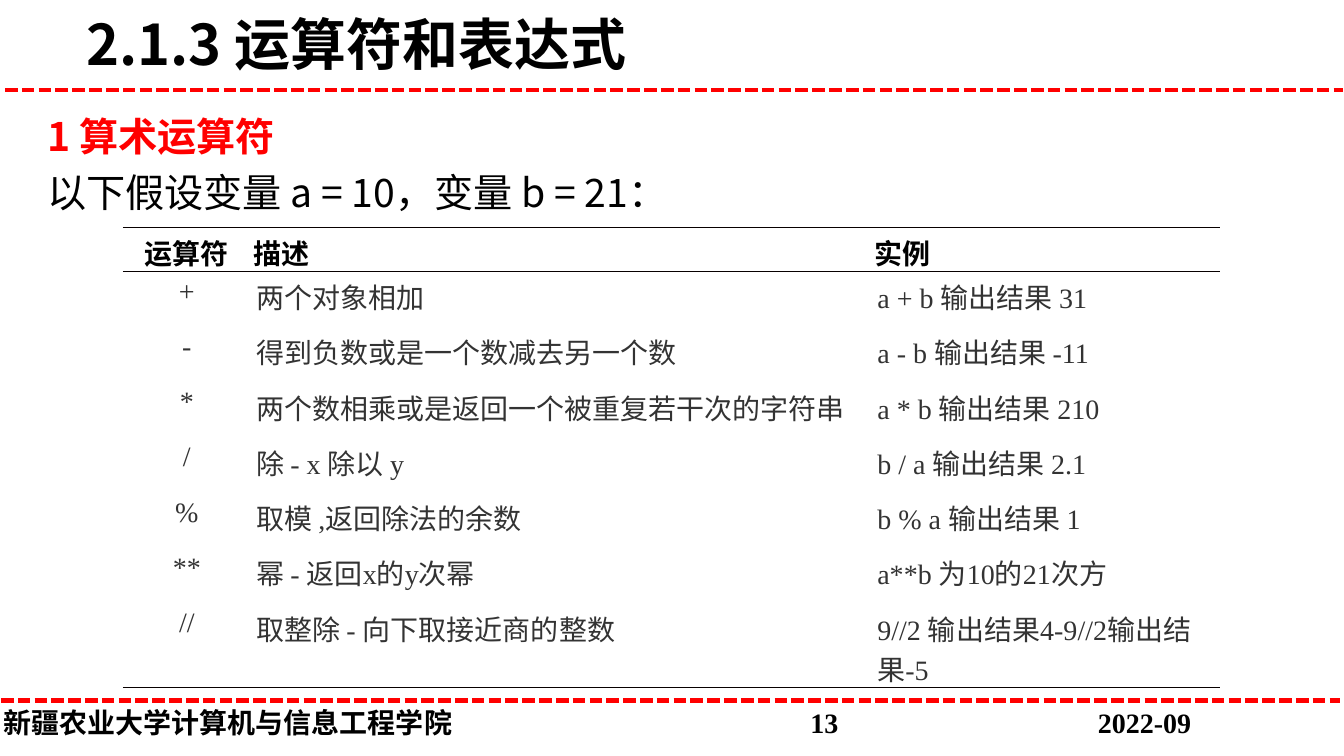
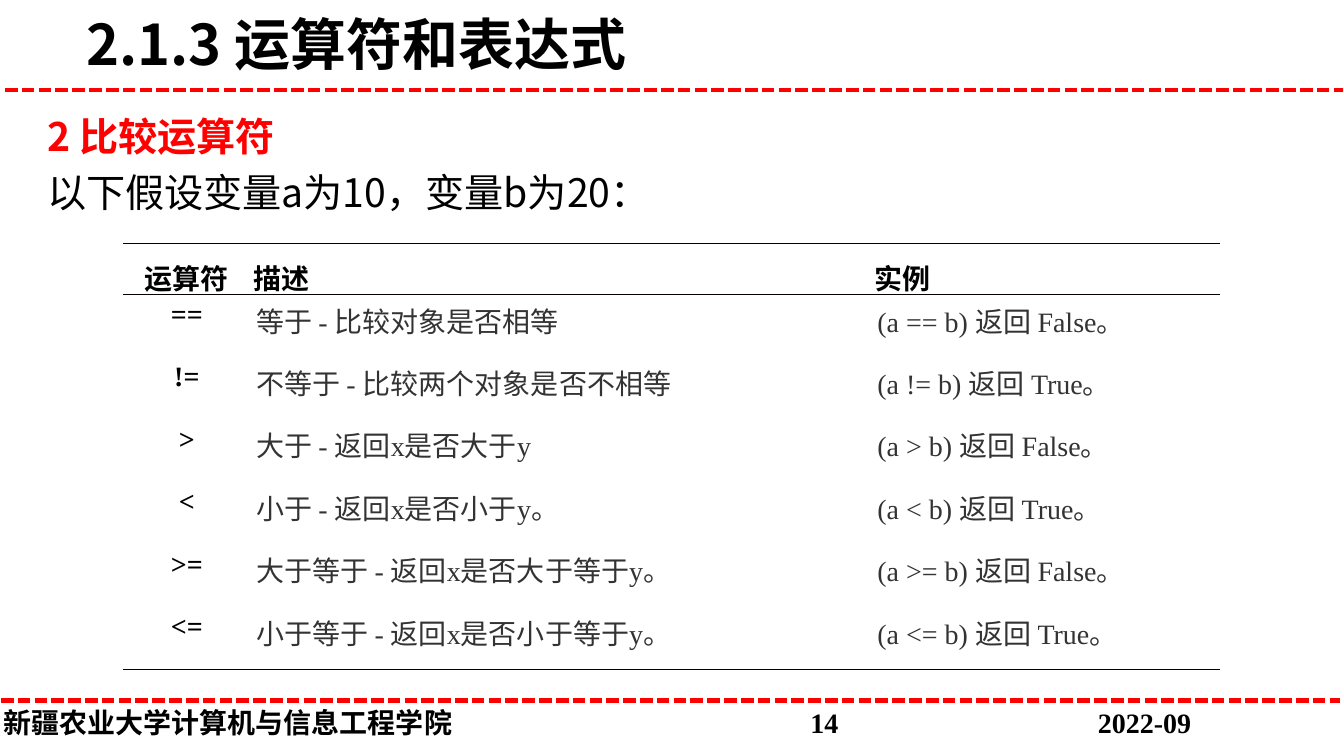
import dataclasses

import pptx
import pptx.dml.color
import pptx.enum.dml
import pptx.enum.shapes
import pptx.enum.text
import pptx.oxml.ns
import pptx.util
from lxml import etree

Pt = pptx.util.Pt
RGB = pptx.dml.color.RGBColor.from_string
qn = pptx.oxml.ns.qn
ALIGN = pptx.enum.text.PP_ALIGN
ANCHOR = pptx.enum.text.MSO_ANCHOR
AUTO_SIZE = pptx.enum.text.MSO_AUTO_SIZE


@dataclasses.dataclass(frozen=True)
class Theme:
    black: str = "000000"
    white: str = "FFFFFF"
    red: str = "FF0000"
    gray: str = "333333"
    rule: str = "080000"
    sans: str = "Noto Sans CJK SC"
    serif: str = "Times New Roman"
    title_size: int = 40
    heading_size: int = 28
    small_size: int = 20


THEME = Theme()
NO_STYLE = "{2D5ABB26-0587-4C30-8999-92F81FD0307C}"
COLUMNS = (91.5, 444, 248.5)
HEADER = ("运算符", "描述", "实例")


def add_text(p, text, size=THEME.small_size, font=THEME.serif, color=THEME.black,
             bold=False, align=ALIGN.LEFT, spacing=None):
    """Add a formatted run to a paragraph."""
    p.alignment = align
    if spacing:
        p.line_spacing = spacing
    r = p.add_run()
    r.text = text
    r.font.size = Pt(size)
    r.font.name = font
    r.font.bold = bold
    r.font.color.rgb = RGB(color)
    etree.SubElement(r.font._element, qn("a:ea"), typeface=THEME.sans)


def add_border(cell, side):
    """Draw a thin rule on one side ("T" or "B") of a cell."""
    tcPr = cell._tc.get_or_add_tcPr()
    ln = etree.Element(qn("a:ln" + side), w=str(Pt(0.45)))
    fill = etree.SubElement(ln, qn("a:solidFill"))
    etree.SubElement(fill, qn("a:srgbClr"), val=THEME.rule)
    tcPr.insert(len(tcPr.findall("*")) - 1, ln)  # just ahead of the fill


class Deck:
    def __init__(self):
        self.prs = pptx.Presentation()
        self.prs.slide_width = Pt(960.5)
        self.prs.slide_height = Pt(540)
        self.s = None

    def add_slide(self, title, number):
        self.s = self.prs.slides.add_slide(self.prs.slide_layouts[5])
        self.add_title(title)
        self.add_dashed_line(3.6, 960, 64.3)
        self.add_dashed_line(0.7, 957.6, 500.4)
        self.add_footer(number)

    def add_title(self, text):
        sp = self.s.shapes.title
        sp.left, sp.top, sp.width, sp.height = Pt(54.7), Pt(-8), Pt(584), Pt(78)
        tf = sp.text_frame
        tf.auto_size = AUTO_SIZE.NONE
        tf.vertical_anchor = ANCHOR.MIDDLE
        add_text(tf.paragraphs[0], text, THEME.title_size, THEME.sans, bold=True)

    def add_dashed_line(self, x1, x2, y):
        line = self.s.shapes.add_connector(
            pptx.enum.shapes.MSO_CONNECTOR.STRAIGHT, Pt(x1), Pt(y), Pt(x2), Pt(y))
        line.line.color.rgb = RGB(THEME.red)
        line.line.width = Pt(3)
        line.line.dash_style = pptx.enum.dml.MSO_LINE.SQUARE_DOT
        etree.SubElement(line._element.spPr, qn("a:effectLst"))

    def add_footer(self, number):
        sp = self.s.shapes.add_textbox(Pt(-4.5), Pt(500.4), Pt(955), Pt(31.5))
        tf = sp.text_frame
        tf.word_wrap = True
        p = tf.paragraphs[0]
        tabs = etree.SubElement(p._p.get_or_add_pPr(), qn("a:tabLst"))
        for x in (576.5, 782):
            etree.SubElement(tabs, qn("a:tab"), pos=str(Pt(x)), algn="l")
        add_text(p, f"新疆农业大学计算机与信息工程学院\t{number}\t2022-09", bold=True)

    def add_heading(self, heading, assumption):
        sp = self.s.shapes.add_shape(pptx.enum.shapes.MSO_SHAPE.RECTANGLE,
                                     Pt(26.6), Pt(69.8), Pt(874), Pt(88))
        sp.shadow.inherit = False
        sp.fill.solid()
        sp.fill.fore_color.rgb = RGB(THEME.white)
        sp.line.fill.background()
        tf = sp.text_frame
        tf.word_wrap = True
        tf.vertical_anchor = ANCHOR.TOP
        tf.auto_size = AUTO_SIZE.SHAPE_TO_FIT_TEXT
        style = dict(size=THEME.heading_size, font=THEME.sans, spacing=1.2)
        add_text(tf.paragraphs[0], heading, color=THEME.red, bold=True, **style)
        add_text(tf.add_paragraph(), assumption, **style)

    def add_operator_table(self, top, heights, rows, header_spacing=None, strong=False):
        """Table with rules above and below the header and under the last row."""
        frame = self.s.shapes.add_table(len(heights), len(COLUMNS), Pt(87.8), Pt(top),
                                        Pt(sum(COLUMNS)), Pt(sum(heights)))
        table = frame.table
        table.first_row = table.horz_banding = False
        table._tbl.tblPr.find(qn("a:tableStyleId")).text = NO_STYLE
        for column, width in zip(table.columns, COLUMNS):
            column.width = Pt(width)
        for row, height in zip(table.rows, heights):
            row.height = Pt(height)

        for i, texts in enumerate((HEADER, *rows)):
            for j, text in enumerate(texts):
                cell = table.cell(i, j)
                is_header = i == 0
                bold = is_header or (strong and j == 0)
                cell.margin_left = cell.margin_right = Pt(2 if is_header else 3.75)
                cell.margin_top = cell.margin_bottom = Pt(3.6)
                cell.vertical_anchor = ANCHOR.TOP
                cell.fill.background()
                add_text(cell.text_frame.paragraphs[0], text, bold=bold,
                         color=THEME.black if bold else THEME.gray,
                         align=ALIGN.CENTER if j == 0 else ALIGN.LEFT,
                         spacing=header_spacing if is_header else None)
                if is_header:
                    add_border(cell, "T")
                if is_header or i == len(rows):
                    add_border(cell, "B")


def main():
    deck = Deck()
    title = "2.1.3 运算符和表达式"

    # Arithmetic operators
    deck.add_slide(title, 13)
    deck.add_heading("1 算术运算符", "以下假设变量 a = 10，变量 b = 21：")
    deck.add_operator_table(162.3, [29] + [39.5] * 6 + [60.5], [
        ("+", "两个对象相加", "a + b 输出结果 31"),
        ("-", "得到负数或是一个数减去另一个数", "a - b 输出结果 -11"),
        ("*", "两个数相乘或是返回一个被重复若干次的字符串", "a * b 输出结果 210"),
        ("/", "除 - x 除以 y", "b / a 输出结果 2.1"),
        ("%", "取模 ,返回除法的余数", "b % a 输出结果 1"),
        ("**", "幂 - 返回x的y次幂", "a**b 为10的21次方"),
        ("//", "取整除 - 向下取接近商的整数", "9//2 输出结果4-9//2输出结果-5"),
    ])

    # Comparison operators
    deck.add_slide(title, 14)
    deck.add_heading("2 比较运算符", "以下假设变量a为10，变量b为20：")
    deck.add_operator_table(173.8, [36.5] + [44.6] * 6, [
        ("==", "等于 - 比较对象是否相等", "(a == b) 返回 False。"),
        ("!=", "不等于 - 比较两个对象是否不相等", "(a != b) 返回 True。"),
        (">", "大于 - 返回x是否大于y", "(a > b) 返回 False。"),
        ("<", "小于 - 返回x是否小于y。", "(a < b) 返回 True。"),
        (">=", "大于等于 - 返回x是否大于等于y。", "(a >= b) 返回 False。"),
        ("<=", "小于等于 - 返回x是否小于等于y。", "(a <= b) 返回 True。"),
    ], header_spacing=1.2, strong=True)

    deck.prs.save("out.pptx")


if __name__ == "__main__":
    main()
